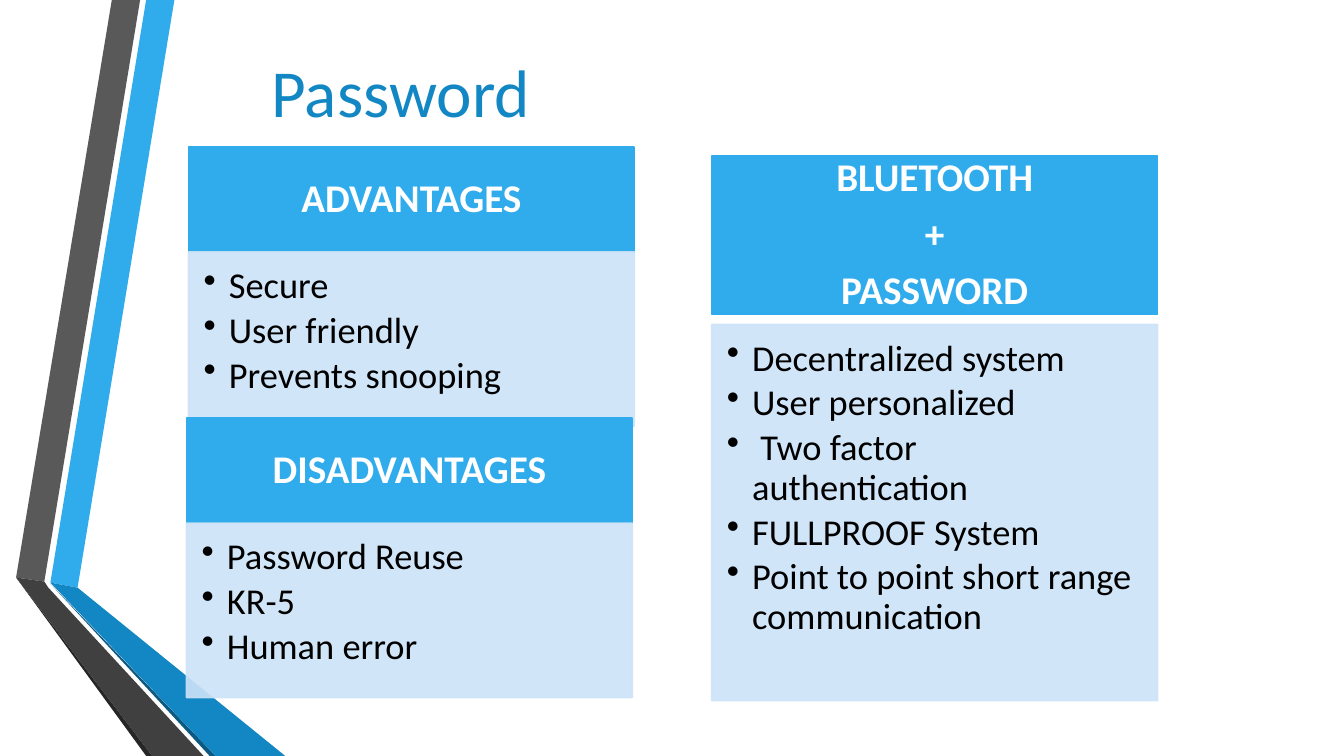
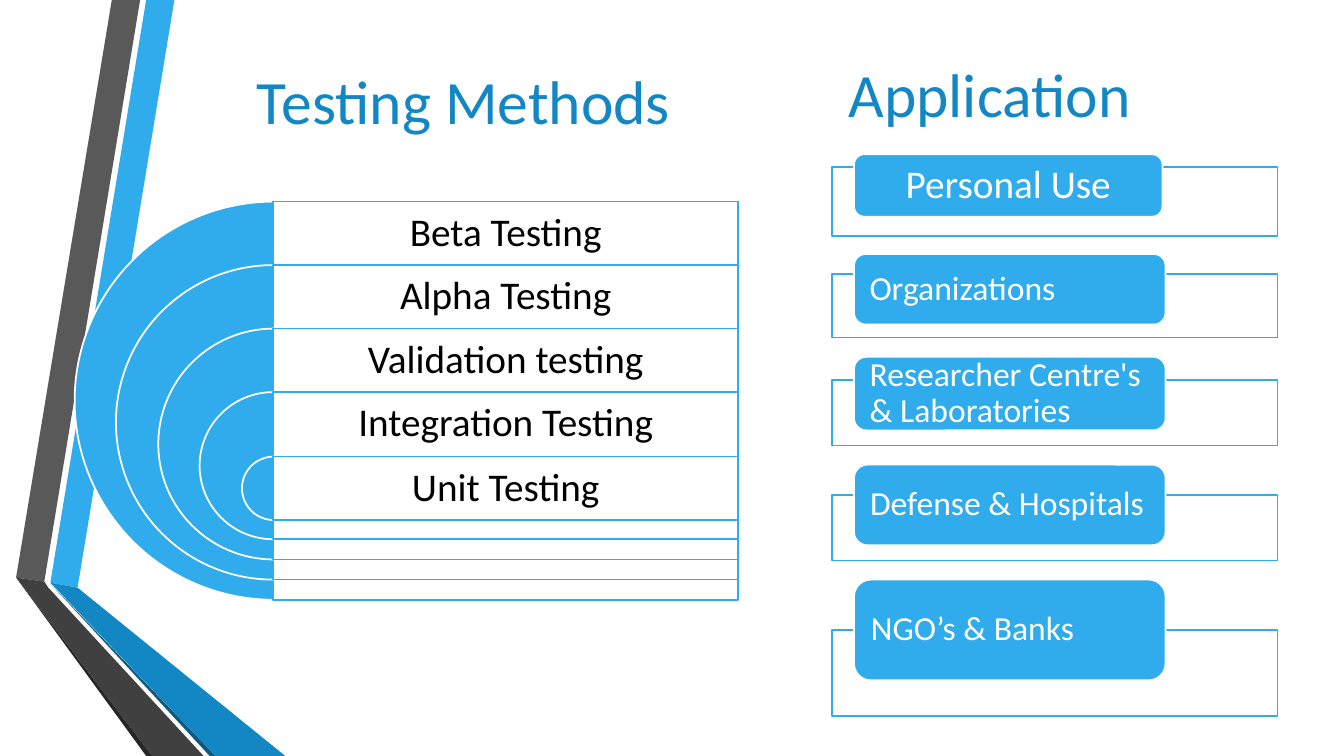
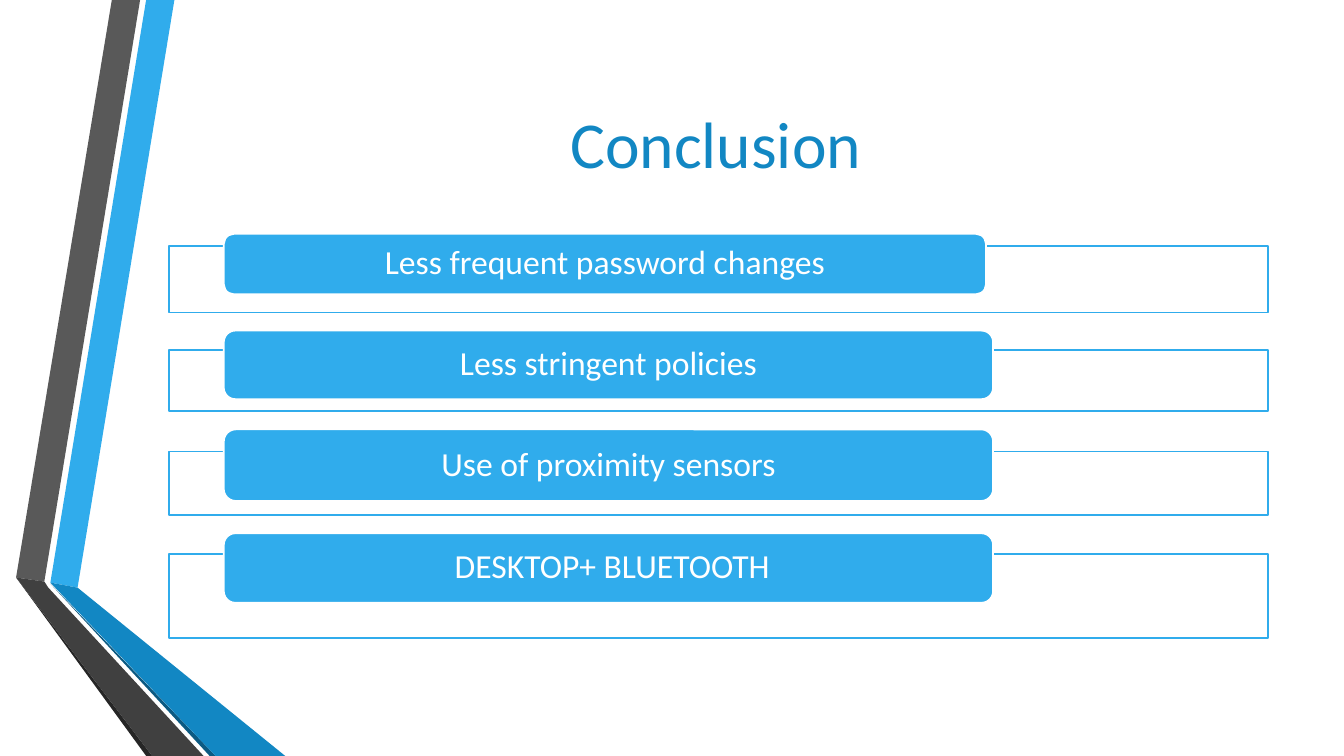
import pptx
import pptx.util
import pptx.dml.color
import pptx.enum.shapes
import pptx.enum.text
import pptx.oxml
import pptx.oxml.ns
import lxml.etree

PX = 9144
SHAPE = pptx.enum.shapes.MSO_SHAPE
ALIGN = pptx.enum.text.PP_ALIGN
ANCHOR = pptx.enum.text.MSO_ANCHOR
COLORS = {
    "sky": "30ACEC",
    "blue": "1287C3",
    "navy": "0C5A82",
    "pale": "CDE3F8",
    "gray": "595959",
    "charcoal": "404040",
    "ink": "262626",
    "black": "000000",
    "white": "FFFFFF",
}
RIBBONS = [
    ("sky", [(50, 578), (77, 583), (173, 0), (145, 0)]),
    ("gray", [(139, 0), (111, 0), (16, 573), (44, 577)]),
    ("ink", [(16, 573), (145, 750), (151, 750)]),
    ("navy", [(50, 579), (208, 750), (214, 750)]),
    ("blue", [(50, 578), (214, 750), (283, 750), (77, 583)]),
    ("charcoal", [(202, 750), (48, 583), (44, 577), (16, 573), (151, 750)]),
]


class Deck:
    font = "Calibri"

    def __init__(self):
        self.prs = pptx.Presentation()
        self.prs.slide_width = self.px(1333)
        self.prs.slide_height = self.px(750)
        self.slide = None

    def px(self, length):
        return pptx.util.Emu(length * PX)

    def color(self, name):
        return pptx.dml.color.RGBColor.from_string(COLORS[name])

    def new_slide(self):
        self.slide = self.prs.slides.add_slide(self.prs.slide_layouts[6])
        for color, points in RIBBONS:
            self.ribbon(color, points)

    def ribbon(self, color, points):
        outline = self.slide.shapes.build_freeform(*points[0], scale=PX)
        outline.add_line_segments(points[1:], close=True)
        band = outline.convert_to_shape()
        band.shadow.inherit = False
        band.fill.solid()
        band.fill.fore_color.rgb = self.color(color)
        band.line.fill.background()

    def box(self, kind, at, fill, line, fill_alpha=100, line_alpha=100):
        shape = self.slide.shapes.add_shape(kind, *map(self.px, at))
        shape.shadow.inherit = False
        shape.line.width = pptx.util.Pt(1.25)
        for paint, name in ((shape.fill, fill), (shape.line.fill, line)):
            paint.solid()
            paint.fore_color.rgb = self.color(name)
        tints = list(shape.element.spPr.iter(pptx.oxml.ns.qn("a:srgbClr")))
        for tint, alpha in zip(tints, (fill_alpha, line_alpha)):
            if alpha < 100:
                lxml.etree.SubElement(tint, pptx.oxml.ns.qn("a:alpha"), val=str(alpha * 1000))
        return shape

    def put_text(self, shape, lines, size, color, insets=(10, 5, 10, 5), align=ALIGN.CENTER,
                 anchor=ANCHOR.MIDDLE, bold=False, leading=0.9, after=0.35, bullets=False):
        frame = shape.text_frame
        frame.word_wrap = True
        frame.vertical_anchor = anchor
        (frame.margin_left, frame.margin_top,
         frame.margin_right, frame.margin_bottom) = map(self.px, insets)
        for i, line in enumerate(lines):
            paragraph = frame.add_paragraph() if i else frame.paragraphs[0]
            paragraph.text = line
            paragraph.alignment = align
            paragraph.line_spacing = leading
            paragraph.space_after = pptx.util.Pt(round(size * after))
            paragraph.font.name = self.font
            paragraph.font.size = pptx.util.Pt(size)
            paragraph.font.bold = bold
            paragraph.font.color.rgb = self.color(color)
            if bullets:
                self.bullet(paragraph)

    def bullet(self, paragraph):
        props = paragraph._p.get_or_add_pPr()
        props.set("marL", str(self.px(25)))
        props.set("indent", str(-self.px(25)))
        mark = pptx.oxml.parse_xml(
            '<a:buChar %s char="•"/>' % pptx.oxml.ns.nsdecls("a"))
        props.insert_element_before(mark, "a:tabLst", "a:defRPr", "a:extLst")

    def title(self, text, at, size, align=ALIGN.CENTER):
        heading = self.slide.shapes.add_textbox(*map(self.px, at))
        self.put_text(heading, [text], size, "blue", align=align, leading=1.0, after=0)

    def card(self, x, y, heading, items, head_height=104, gap=0, body_height=173):
        head = self.box(SHAPE.RECTANGLE, (x, y, 442, head_height), "sky", "sky")
        self.put_text(head, heading, 28, "white", (22, 12, 22, 12), bold=True)
        body = self.box(SHAPE.RECTANGLE, (x, y + head_height + gap, 442, body_height),
                        "pale", "pale", 90, 90)
        self.put_text(body, items, 26, "black", (15, 15, 20, 23), ALIGN.LEFT, ANCHOR.TOP,
                      after=0.15, bullets=True)

    def layer(self, text, top, size):
        center, row = 271, 63
        arc = self.box(SHAPE.PIE, (center - size // 2, top, size, size), "sky", "white")
        arc.adjustments[0], arc.adjustments[1] = 54, 162
        panel = self.box(SHAPE.RECTANGLE, (center, top, 461, size), "white", "sky", 90)
        self.put_text(panel, [text], 28, "black", (12, 12, 12, 12 + size - row))

    def tab(self, text, frame_at, tab_at, size=24, inset=12, align=ALIGN.CENTER):
        self.box(SHAPE.RECTANGLE, frame_at, "white", "sky", 90)
        label = self.box(SHAPE.ROUNDED_RECTANGLE, tab_at, "sky", "white")
        self.put_text(label, [text], size, "white", (inset, 0, inset, 0), align)


def password(deck):
    deck.new_slide()
    deck.title("Password", (163, 34, 469, 111), 48)
    deck.card(187, 146, ["ADVANTAGES"], ["Secure", "User friendly", "Prevents snooping"])
    deck.card(185, 415, ["DISADVANTAGES"], ["Password Reuse", "KR-5", "Human error"])
    deck.card(706, 155, ["BLUETOOTH", "+", "PASSWORD"],
              ["Decentralized system", "User personalized", " Two factor authentication",
               "FULLPROOF System", "Point to point short range communication"],
              head_height=157, gap=10, body_height=373)


def testing(deck):
    deck.new_slide()
    deck.title("Testing Methods", (167, 45, 586, 108), 44)
    methods = ["Beta Testing", "Alpha Testing", "Validation testing",
               "Integration Testing", "Unit Testing"]
    for i, method in enumerate(methods):
        deck.layer(method, 200 + i * 253 // 4, 395 - 83 * i)
    uses = [
        ("Personal Use", 166, 68, 153, 62, 306, 28, ALIGN.CENTER),
        ("Organizations", 272, 63, 252, 70, 309, 24, ALIGN.LEFT),
        ("Researcher Centre's & Laboratories", 377, 65, 354, 73, 309, 24, ALIGN.LEFT),
        ("Defense & Hospitals", 491, 65, 461, 80, 309, 24, ALIGN.LEFT),
        ("NGO’s & Banks", 625, 85, 575, 100, 309, 24, ALIGN.LEFT),
    ]
    for use, top, height, tab_top, tab_height, tab_width, size, align in uses:
        deck.tab(use, (825, top, 442, height), (847, tab_top, tab_width, tab_height),
                 size, align=align)
    deck.title(" Application", (818, 50, 392, 84), 44, ALIGN.LEFT)


def conclusion(deck):
    deck.new_slide()
    points = [
        ("Less frequent password changes", 244, 66, 232, 60, 756),
        ("Less stringent policies", 347, 61, 328, 68, 763),
        ("Use of proximity sensors", 448, 63, 426, 71, 763),
        (" DESKTOP+ BLUETOOTH", 550, 83, 529, 69, 763),
    ]
    for point, top, height, tab_top, tab_height, tab_width in points:
        deck.tab(point, (168, top, 1090, height), (222, tab_top, tab_width, tab_height),
                 inset=29)
    deck.title("Conclusion", (162, 75, 1096, 132), 46.8)


def main():
    deck = Deck()
    password(deck)
    testing(deck)
    conclusion(deck)
    deck.prs.save("out.pptx")


if __name__ == "__main__":
    main()
